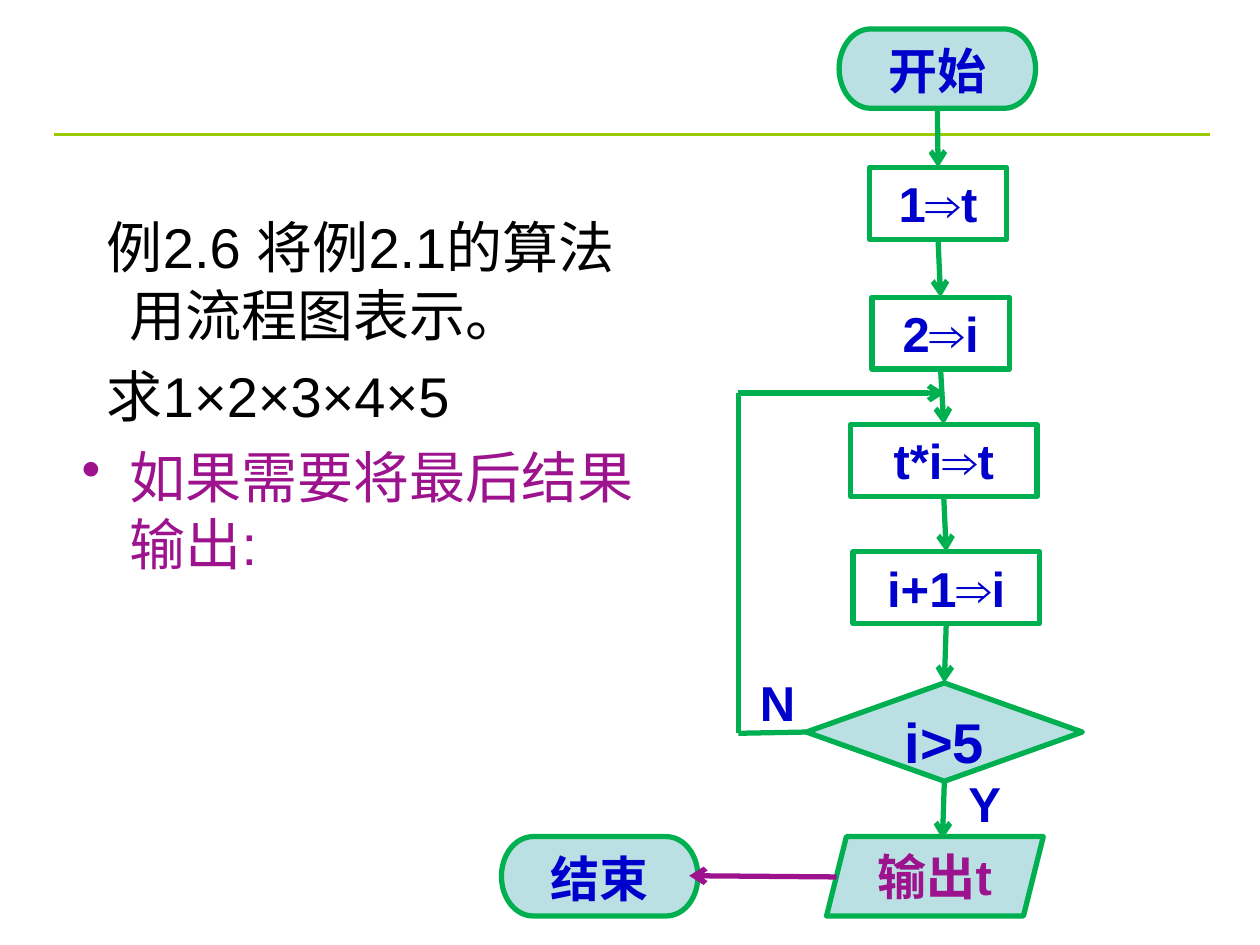
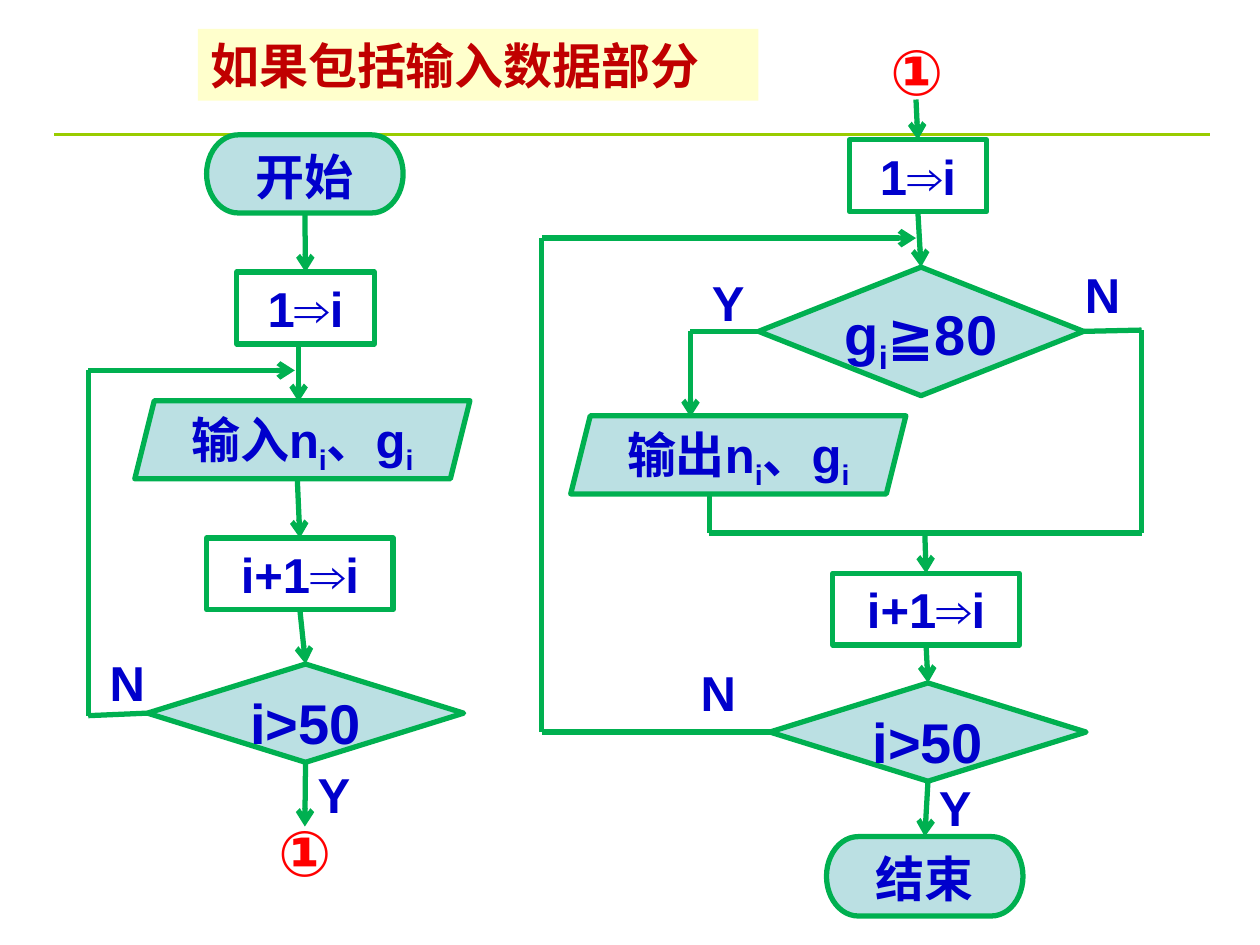
"""Build two flowchart slides: a factorial loop and a grade filter with data input."""
from dataclasses import dataclass
from itertools import pairwise

from lxml import etree
from pptx import Presentation
from pptx import util as u
from pptx.dml.color import RGBColor
from pptx.enum import shapes, text
from pptx.oxml.ns import qn

PX = 9144
DOCK_REACH = 4 * PX


@dataclass(frozen=True)
class Theme:
    font: str = "Arial"
    green: str = "00B050"
    fill: str = "BBE0E3"
    blue: str = "0000CC"
    purple: str = "9D138D"
    red: str = "FF0000"
    dark_red: str = "C00000"
    cream: str = "FFFFCC"
    rule: str = "99CC00"
    black: str = "000000"
    step_size: int = 28
    body_size: int = 32
    mark_size: int = 36
    line_width: float = 3
    rule_width: float = 1.5


THEME = Theme()
SHAPE = shapes.MSO_SHAPE
BARE = dict(margin_left=0, margin_right=0, margin_top=0, margin_bottom=0, word_wrap=False)
KINDS = {
    "process": (SHAPE.RECTANGLE, None, THEME.step_size, dict(word_wrap=True)),
    "data": (SHAPE.PARALLELOGRAM, THEME.fill, THEME.step_size, BARE),
    "decision": (SHAPE.FLOWCHART_DECISION, THEME.fill, THEME.body_size, BARE),
    "terminator": (SHAPE.FLOWCHART_TERMINATOR, THEME.fill, THEME.step_size, BARE),
}


def rgb(value):
    return RGBColor.from_string(value)


def px(*lengths):
    return [length * PX for length in lengths]


def assign(target, **values):
    for name, value in values.items():
        setattr(target, name, value)


def write(paragraph, content, size, color, bold=True, **layout):
    assign(paragraph, **layout)
    for index, part in enumerate(content.split("|")):
        run = paragraph.add_run()
        run.text = part
        assign(run.font, name=THEME.font, size=u.Pt(size), bold=bold)
        run.font.color.rgb = rgb(color)
        if index % 2:
            run._r.get_or_add_rPr().set("baseline", "-25000")


def paint(shape, fill=None, line=None):
    shape.shadow.inherit = False
    if fill:
        shape.fill.solid()
        shape.fill.fore_color.rgb = rgb(fill)
    else:
        shape.fill.background()
    if line:
        shape.line.color.rgb = rgb(line)
        shape.line.width = u.Pt(THEME.line_width)
    else:
        shape.line.fill.background()


def add_node(slide, kind, box, content, color=THEME.blue):
    preset, fill, size, frame_format = KINDS[kind]
    shape = slide.shapes.add_shape(preset, *px(*box))
    paint(shape, fill, THEME.green)
    assign(shape.text_frame, vertical_anchor=text.MSO_ANCHOR.TOP, **frame_format)
    write(shape.text_frame.paragraphs[0], content, size, color, alignment=text.PP_ALIGN.CENTER)


def add_label(slide, box, content, size=THEME.step_size, color=THEME.blue):
    frame = slide.shapes.add_textbox(*px(*box)).text_frame
    frame.word_wrap = True
    write(frame.paragraphs[0], content, size, color, alignment=text.PP_ALIGN.CENTER)


def add_heading(slide, box, content):
    shape = slide.shapes.add_shape(SHAPE.RECTANGLE, *px(*box))
    paint(shape, THEME.cream)
    assign(shape.text_frame, vertical_anchor=text.MSO_ANCHOR.TOP, word_wrap=True)
    write(shape.text_frame.paragraphs[0], content, THEME.step_size, THEME.dark_red,
          alignment=text.PP_ALIGN.LEFT)


def add_body(slide, box, items):
    frame = slide.shapes.add_textbox(*px(*box)).text_frame
    frame.word_wrap = True
    for index, (content, color, bullet) in enumerate(items):
        paragraph = frame.add_paragraph() if index else frame.paragraphs[0]
        properties = paragraph._p.get_or_add_pPr()
        hanging = 38 if bullet else 18
        properties.set("marL", str(38 * PX))
        properties.set("indent", str(-hanging * PX))
        if bullet:
            etree.SubElement(properties, qn("a:buChar")).set("char", "•")
        write(paragraph, content, THEME.body_size, color, bold=False,
              space_before=u.Pt(8 if index else 0))


def find_dock(slide, point):
    x, y = px(*point)
    for shape in slide.shapes:
        if shape.shape_type != shapes.MSO_SHAPE_TYPE.AUTO_SHAPE:
            continue
        if shape.auto_shape_type == SHAPE.PARALLELOGRAM:
            continue
        middle, center = shape.left + shape.width / 2, shape.top + shape.height / 2
        sites = [(middle, shape.top), (shape.left, center),
                 (middle, shape.top + shape.height), (shape.left + shape.width, center)]
        for site, (site_x, site_y) in enumerate(sites):
            if max(abs(x - site_x), abs(y - site_y)) <= DOCK_REACH:
                return shape, site
    return None


def add_line(slide, start, finish, color, width):
    line = slide.shapes.add_connector(shapes.MSO_CONNECTOR.STRAIGHT, *px(*start, *finish))
    line.line.color.rgb = rgb(color)
    line.line.width = u.Pt(width)
    etree.SubElement(line._element.spPr, qn("a:effectLst"))
    return line


def add_route(slide, *points, arrow=True, color=THEME.green):
    for start, finish in pairwise(points):
        line = add_line(slide, start, finish, color, THEME.line_width)
        for point, connect in ((start, line.begin_connect), (finish, line.end_connect)):
            dock = find_dock(slide, point)
            if dock:
                connect(*dock)
    if arrow:
        etree.SubElement(line.line._get_or_add_ln(), qn("a:tailEnd")).set("type", "arrow")


def add_slide(presentation):
    slide = presentation.slides.add_slide(presentation.slide_layouts[6])
    add_line(slide, (43, 107), (960, 107), THEME.rule, THEME.rule_width)
    return slide


def build_factorial(presentation):
    slide = add_slide(presentation)
    add_body(slide, (55, 164, 480, 391), [
        ("例2.6 将例2.1的算法用流程图表示。", THEME.black, False),
        ("求1×2×3×4×5", THEME.black, False),
        ("如果需要将最后结果输出:", THEME.purple, True),
    ])
    for kind, box, content in [
        ("terminator", (666, 23, 156, 63), "开始"),
        ("process", (690, 133, 109, 57), "1⇒t"),
        ("process", (692, 236, 109, 57), "2⇒i"),
        ("process", (675, 337, 148, 57), "t*i⇒t"),
        ("process", (677, 438, 148, 57), "i+1⇒i"),
        ("decision", (640, 542, 219, 78), "i>5"),
        ("terminator", (398, 664, 156, 63), "结束"),
    ]:
        add_node(slide, kind, box, content)
    add_node(slide, "data", (656, 664, 172, 63), "输出t", THEME.purple)
    for x, top, bottom in [(743, 86, 133), (745, 189, 236), (748, 295, 340),
                           (750, 395, 440), (748, 496, 543), (748, 619, 666)]:
        add_route(slide, (x, top), (x, bottom))
    add_route(slide, (641, 582), (586, 582), (586, 312), (750, 312))
    add_route(slide, (664, 696), (547, 695), color=THEME.purple)
    add_label(slide, (586, 529, 62, 57), "N")
    add_label(slide, (750, 609, 63, 57), "Y")


def build_grade_filter(presentation):
    slide = add_slide(presentation)
    for kind, box, content in [
        ("terminator", (164, 107, 156, 62), "开始"),
        ("process", (188, 216, 109, 57), "1⇒i"),
        ("data", (107, 318, 266, 62), "输入n|i|、g|i"),
        ("process", (164, 427, 148, 57), "i+1⇒i"),
        ("decision", (117, 527, 251, 78), "i>50"),
        ("process", (674, 111, 109, 57), "1⇒i"),
        ("decision", (602, 212, 258, 102), "g|i|≧80"),
        ("data", (453, 330, 266, 62), "输出n|i|、g|i"),
        ("process", (661, 455, 148, 57), "i+1⇒i"),
        ("decision", (611, 542, 251, 78), "i>50"),
        ("terminator", (656, 664, 156, 63), "结束"),
    ]:
        add_node(slide, kind, box, content)
    for x, top, bottom in [(241, 169, 216), (237, 272, 319), (236, 381, 427),
                           (240, 482, 529), (242, 607, 656), (727, 79, 111),
                           (729, 167, 214), (734, 423, 455), (734, 512, 543),
                           (733, 620, 667)]:
        add_route(slide, (x, top), (x, bottom))
    add_route(slide, (117, 568), (70, 568), (70, 294), (234, 294))
    add_route(slide, (611, 581), (430, 581), (430, 189), (727, 189))
    add_route(slide, (598, 263), (548, 263), (548, 331))
    add_route(slide, (859, 262), (906, 262), (906, 423), (563, 423), (563, 392), arrow=False)
    for left, top, content in [(70, 513, "N"), (234, 602, "Y"), (547, 211, "Y"),
                               (844, 205, "N"), (539, 521, "N"), (727, 612, "Y")]:
        add_label(slide, (left, top, 62, 57), content)
    for left, top in [(203, 641), (689, 21)]:
        add_label(slide, (left, top, 78, 70), "①", THEME.mark_size, THEME.red)
    add_heading(slide, (157, 23, 445, 57), "如果包括输入数据部分")


def main():
    presentation = Presentation()
    assign(presentation, slide_width=1000 * PX, slide_height=750 * PX)
    build_factorial(presentation)
    build_grade_filter(presentation)
    presentation.save("out.pptx")


if __name__ == "__main__":
    main()
